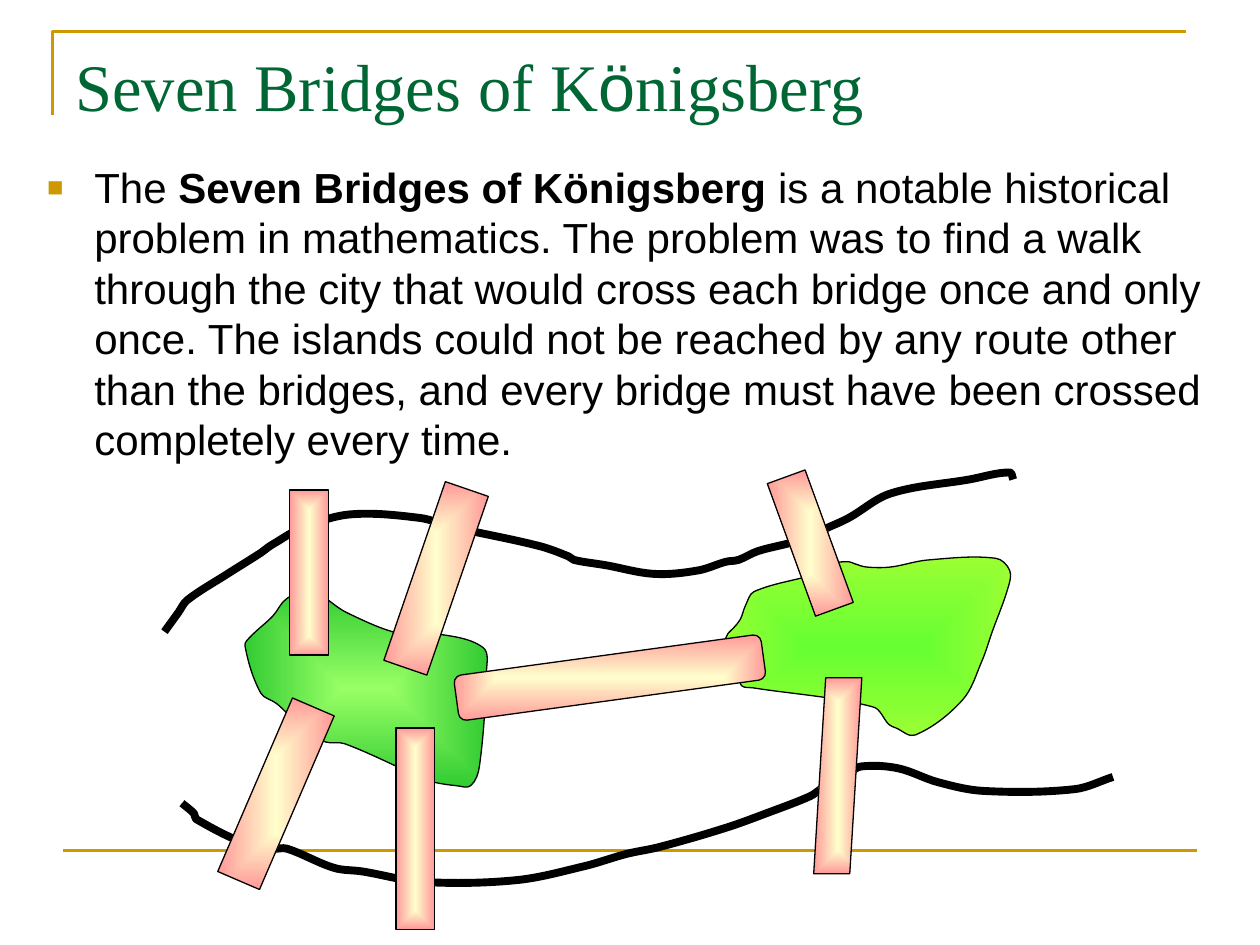
from math import hypot
from pptx import Presentation
from pptx.dml.color import RGBColor
from pptx.enum.shapes import MSO_CONNECTOR, MSO_SHAPE
from pptx.oxml import parse_xml
from pptx.oxml.ns import qn
from pptx.util import Pt
from lxml.etree import SubElement

HUES = {
    "gold": "CC9900", "title": "006633", "ink": "000000",
    "cream": "FFFFCC", "rose": "FF9999",
    "mint": "99FF66", "leaf": "33CC33",
    "lime": "66FF33", "moss": "99FF33",
}
SPACE = "http://schemas.openxmlformats.org/drawingml/2006/main"

NORTH = [
    (94, 361), (102, 350), (107, 343), (130, 328), (149, 316), (153, 313), (156, 311),
    (172, 302), (200, 294), (240, 296), (258, 301), (308, 312), (325, 318), (328, 320),
    (346, 323), (374, 328), (399, 326), (415, 321), (422, 320), (433, 315), (456, 309),
    (472, 302), (485, 296), (509, 282), (554, 274), (577, 270), (579, 274),
]
SOUTH = [
    (104, 459), (111, 465), (112, 468), (140, 482), (156, 485), (164, 485), (191, 496),
    (207, 498), (242, 504), (295, 503), (334, 495), (358, 488), (377, 484), (415, 473),
    (440, 464), (463, 455), (469, 451), (473, 449), (480, 445), (485, 442), (492, 438),
    (513, 439), (536, 447), (562, 452), (614, 451), (636, 444),
]
WEST = [
    (140, 369), (149, 396), (158, 402), (169, 412), (179, 419), (186, 424),
    (197, 425), (240, 444), (248, 447), (261, 449), (269, 449), (274, 438),
    (278, 384), (276, 370), (248, 362), (228, 362), (198, 350), (178, 338), (164, 342),
    (156, 352), (143, 364),
]
EAST = [
    (469, 327), (431, 338), (426, 346), (423, 354), (419, 359), (416, 362), (414, 366),
    (410, 370), (412, 376), (415, 379), (422, 387), (424, 392), (430, 393), (499, 404),
    (508, 414), (512, 416), (523, 420), (550, 400), (561, 378), (567, 361), (576, 336),
    (577, 326), (569, 319), (530, 320), (509, 324), (495, 324), (488, 322), (485, 321),
    (472, 322), (469, 324),
]
BRIDGES = [
    (MSO_SHAPE.RECTANGLE, (165.5, 280, 22.3, 94.3), 0),
    (MSO_SHAPE.RECTANGLE, (226.3, 416, 22, 115), 0),
    (MSO_SHAPE.PARALLELOGRAM, (465, 387.3, 27.5, 112), 0),
    (MSO_SHAPE.ROUNDED_RECTANGLE, (260, 374.2, 177, 26), 352.2),
    (MSO_SHAPE.RECTANGLE, (144.7, 399.6, 26, 108), 23.3),
    (MSO_SHAPE.RECTANGLE, (236.2, 276.5, 26, 108), 19),
    (MSO_SHAPE.RECTANGLE, (451.5, 270, 23, 80.6), 160),
]
STORY = (
    " is a notable historical problem in mathematics. The problem was to find a walk "
    "through the city that would cross each bridge once and only once. The islands could "
    "not be reached by any route other than the bridges, and every bridge must have been "
    "crossed completely every time."
)


def shade(name):
    """Return the named colour."""
    return RGBColor.from_string(HUES[name])


def write(para, text, font="Arial", size=24, hue="ink", bold=False):
    """Add a formatted run to a paragraph."""
    run = para.add_run()
    run.text = text
    run.font.name = font
    run.font.size = Pt(size)
    run.font.bold = bold
    run.font.color.rgb = shade(hue)


def pull(spot, back, ahead, reach):
    """Return the handle of a spot along its tangent."""
    dx, dy = ahead[0] - back[0], ahead[1] - back[1]
    span = hypot(dx, dy) or 1
    return spot[0] + reach * dx / span, spot[1] + reach * dy / span


def bend(shape, closed):
    """Turn the straight parts of an outline into smooth curves."""
    tree = shape._element.spPr
    spots = [(int(p.get("x")), int(p.get("y"))) for p in tree.iter(qn("a:pt"))]
    first, last = (spots[-2], spots[1]) if closed else (spots[0], spots[-1])
    ring = [first, *spots, last]
    for i, part in enumerate(list(tree.iter(qn("a:lnTo")))):
        a, b, c, d = ring[i:i + 4]
        reach = hypot(c[0] - b[0], c[1] - b[1]) / 3
        part.tag = qn("a:cubicBezTo")
        for x, y in (pull(c, b, d, -reach), pull(b, a, c, reach)):
            dot = SubElement(part, qn("a:pt"), x=str(round(x)), y=str(round(y)))
            part.insert(0, dot)


class Deck:
    """Hold the style and the current slide."""

    def __init__(self, width, height):
        """Start a deck with one blank slide."""
        self.file = Presentation()
        self.file.slide_width = Pt(width)
        self.file.slide_height = Pt(height)
        self.slide = self.file.slides.add_slide(self.file.slide_layouts[6])
        self.thin = 0.75
        self.rule = 1.5
        self.bank = 4.5

    def line(self, start, end):
        """Add a gold rule."""
        link = self.slide.shapes.add_connector(
            MSO_CONNECTOR.STRAIGHT, *(Pt(n) for n in (*start, *end)))
        link.line.color.rgb = shade("gold")
        link.line.width = Pt(self.rule)
        SubElement(link._element.spPr, qn("a:effectLst"))

    def trim(self, shape, hue, width):
        """Set the outline and drop the shadow."""
        shape.shadow.inherit = False
        shape.line.color.rgb = shade(hue)
        shape.line.width = Pt(width)

    def glow(self, shape, inner, outer, kind):
        """Fill from the centre outwards."""
        shape.fill.gradient()
        for stop, hue, spot in zip(shape.fill.gradient_stops, (inner, outer), (0, 1)):
            stop.color.rgb = shade(hue)
            stop.position = spot
        grad = shape._element.spPr.find(qn("a:gradFill"))
        grad.replace(grad.find(qn("a:lin")), parse_xml(
            f'<a:path xmlns:a="{SPACE}" path="{kind}">'
            '<a:fillToRect l="50000" t="50000" r="50000" b="50000"/></a:path>'))

    def trace(self, knots, hue, width, closed=False):
        """Add an unfilled outline and return it."""
        spots = [(Pt(x), Pt(y)) for x, y in knots]
        pen = self.slide.shapes.build_freeform(*spots[0])
        pen.add_line_segments(spots[1:] + spots[:1] * closed, close=False)
        shape = pen.convert_to_shape()
        self.trim(shape, hue, width)
        shape.fill.background()
        return shape

    def shore(self, knots):
        """Add a river bank."""
        bend(self.trace(knots, "ink", self.bank), False)

    def isle(self, knots, inner, outer):
        """Add an island."""
        shape = self.trace(knots, "ink", self.thin, True)
        bend(shape, True)
        self.glow(shape, inner, outer, "rect")

    def bridge(self, form, box, turn):
        """Add a bridge."""
        shape = self.slide.shapes.add_shape(form, *(Pt(n) for n in box))
        shape.rotation = turn
        self.trim(shape, "ink", self.thin)
        self.glow(shape, "cream", "rose", "shape")

    def text(self, box):
        """Add a text box and return its paragraph."""
        frame = self.slide.shapes.add_textbox(*(Pt(n) for n in box)).text_frame
        frame.word_wrap = True
        return frame.paragraphs[0]

    def point(self, box, pitch):
        """Add a bulleted text box and return its paragraph."""
        para = self.text(box)
        para.line_spacing = Pt(pitch)
        props = para._p.get_or_add_pPr()
        props.set("marL", str(Pt(27)))
        props.set("indent", str(-Pt(27)))
        tint = SubElement(props, qn("a:buClr"))
        SubElement(tint, qn("a:srgbClr"), val=HUES["gold"])
        SubElement(props, qn("a:buSzPct"), val="65000")
        SubElement(props, qn("a:buFont"), typeface="Arial")
        SubElement(props, qn("a:buChar"), char="■")
        return para


def main():
    """Build the slide."""
    deck = Deck(720, 540)
    deck.trace([(30, 66), (30, 18), (678, 18)], "gold", deck.rule)
    deck.line((36, 486), (684, 486))

    head = deck.text((36, 22.2, 648, 90))
    for text, font in (("Seven Bridges of K", "Times New Roman"), ("ö", "Arial"),
                       ("nigsberg", "Times New Roman")):
        write(head, text, font=font, size=38, hue="title")

    body = deck.point((19.8, 88.7, 684, 356), 28.8)
    write(body, "The ")
    write(body, "Seven Bridges of Königsberg", bold=True)
    write(body, STORY)

    deck.isle(WEST, "mint", "leaf")
    deck.shore(NORTH)
    deck.shore(SOUTH)
    deck.isle(EAST, "lime", "moss")
    for form, box, turn in BRIDGES:
        deck.bridge(form, box, turn)
    deck.file.save("out.pptx")


if __name__ == "__main__":
    main()
